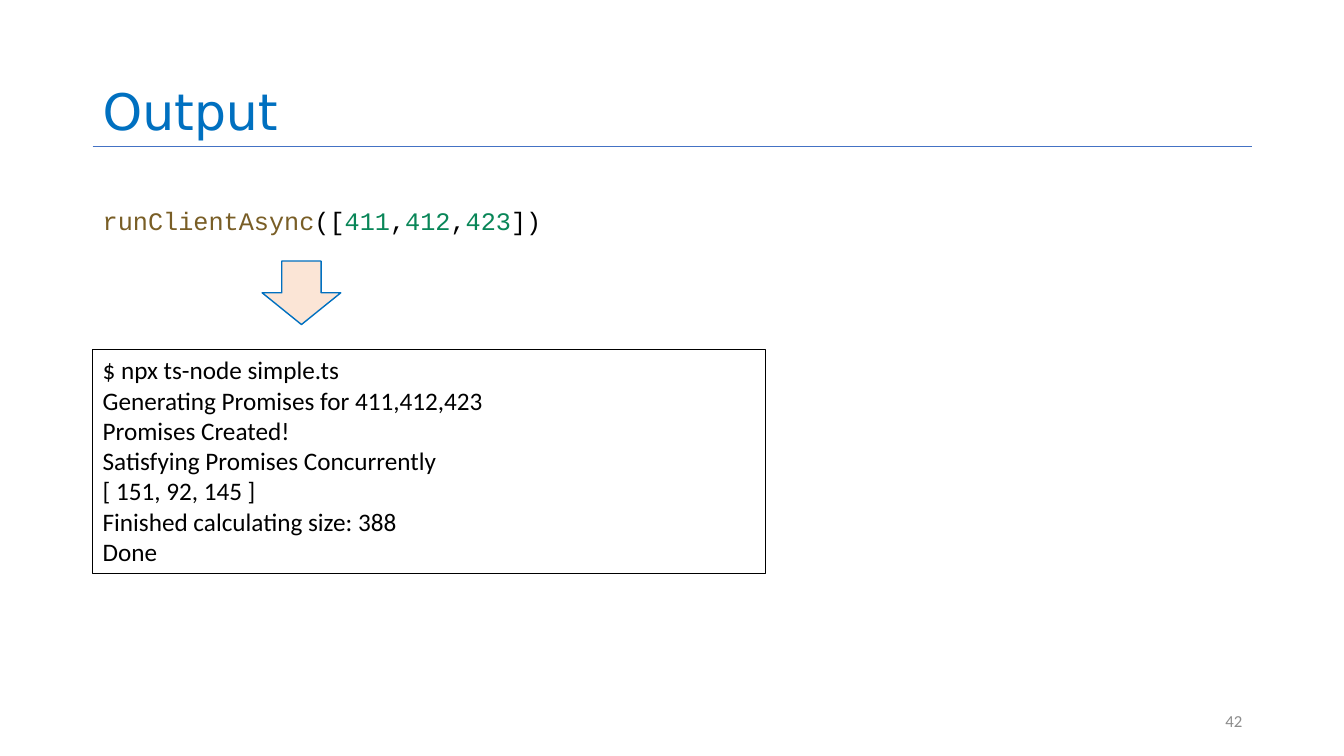
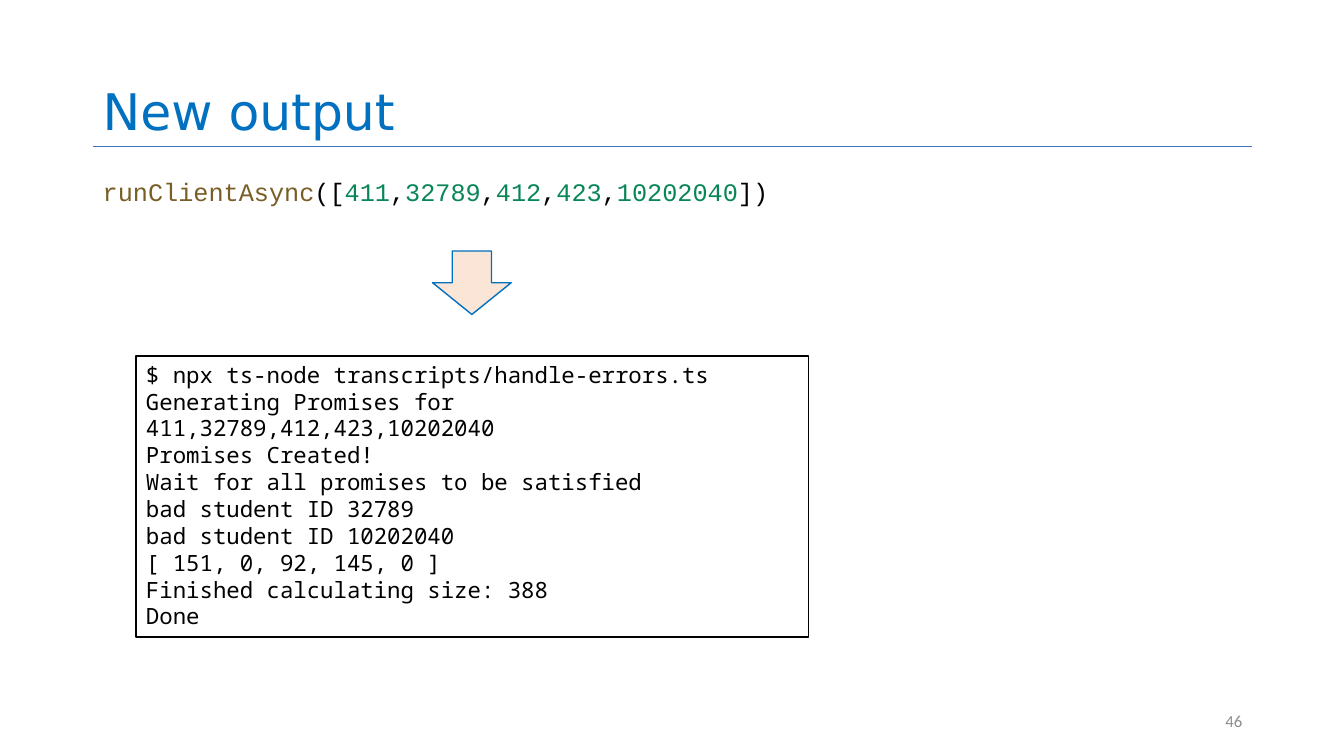
from dataclasses import dataclass

import pptx
import pptx.dml.color
import pptx.enum.shapes
import pptx.enum.text
import pptx.oxml.ns
import pptx.util
from lxml import etree

PX = pptx.util.Inches(1) // 100  # 100 px to the inch
ANCHOR = pptx.enum.text.MSO_ANCHOR
ALIGN = pptx.enum.text.PP_ALIGN
SHAPE = pptx.enum.shapes.MSO_SHAPE


@dataclass(frozen=True)
class Theme:
    title: str = "0070C0"
    rule: str = "4472C4"
    page: str = "8C8C8C"
    ink: str = "000000"
    paper: str = "FFFFFF"
    function: str = "795E26"
    number: str = "098658"
    arrow: str = "FBE5D6"
    title_font: str = "DejaVu Sans"
    body_font: str = "Calibri"
    code_font: str = "Courier New"
    terminal_font: str = "Noto Sans Mono"
    title_size: int = 36
    body_size: int = 18
    terminal_size: int = 16
    page_size: int = 12
    rule_width: float = 0.5
    outline_width: float = 1


THEME = Theme()
LEFT, CONTENT_WIDTH, TITLE_BOTTOM = 92, 1150, 145


def rgb(value):
    return pptx.dml.color.RGBColor.from_string(value)


def px(*lengths):
    return [length * PX for length in lengths]


def add_run(paragraph, text, font, size, color):
    run = paragraph.add_run()
    run.text = text
    run.font.name = font
    run.font.size = pptx.util.Pt(size)
    run.font.color.rgb = rgb(color)


def add_text_box(slide, box, anchor=ANCHOR.TOP):
    """Add an empty wrapping text box and return its first paragraph."""
    frame = slide.shapes.add_textbox(*px(*box)).text_frame
    frame.word_wrap = True
    frame.vertical_anchor = anchor
    return frame.paragraphs[0]


def add_outlined_shape(slide, preset, box, fill, outline):
    shape = slide.shapes.add_shape(preset, *px(*box))
    shape.shadow.inherit = False
    shape.fill.solid()
    shape.fill.fore_color.rgb = rgb(fill)
    shape.line.color.rgb = rgb(outline)
    shape.line.width = pptx.util.Pt(THEME.outline_width)
    return shape


def add_title_rule(slide):
    rule = slide.shapes.add_connector(
        pptx.enum.shapes.MSO_CONNECTOR.STRAIGHT,
        *px(LEFT, TITLE_BOTTOM, LEFT + CONTENT_WIDTH, TITLE_BOTTOM))
    rule.line.color.rgb = rgb(THEME.rule)
    rule.line.width = pptx.util.Pt(THEME.rule_width)
    etree.SubElement(rule._element.spPr, pptx.oxml.ns.qn("a:effectLst"))


def add_slide(deck, title, page):
    """Add a blank slide with the shared title, rule and page number."""
    slide = deck.slides.add_slide(deck.slide_layouts[6])
    add_title_rule(slide)
    heading = add_text_box(slide, (LEFT, 0, CONTENT_WIDTH, TITLE_BOTTOM), ANCHOR.BOTTOM)
    heading.line_spacing = 0.9
    add_run(heading, title, THEME.title_font, THEME.title_size, THEME.title)
    footer = add_text_box(slide, (942, 695, 300, 40), ANCHOR.MIDDLE)
    footer.alignment = ALIGN.RIGHT
    add_run(footer, str(page), THEME.body_font, THEME.page_size, THEME.page)
    return slide


def add_call(slide, top, student_ids):
    """Show the highlighted runClientAsync call for the given IDs."""
    call = add_text_box(slide, (LEFT, top, 753, 61))
    tokens = [("runClientAsync", THEME.function), ("([", THEME.ink)]
    for index, student_id in enumerate(student_ids):
        if index:
            tokens.append((",", THEME.ink))
        tokens.append((str(student_id), THEME.number))
    tokens.append(("])", THEME.ink))
    for text, color in tokens:
        add_run(call, text, THEME.code_font, THEME.body_size, color)


def add_down_arrow(slide, left, top):
    add_outlined_shape(slide, SHAPE.DOWN_ARROW, (left, top, 78, 63),
                       THEME.arrow, THEME.title)


def add_terminal(slide, left, top, height, lines, font, size):
    terminal = add_outlined_shape(slide, SHAPE.RECTANGLE, (left, top, 667, height),
                                  THEME.paper, THEME.ink)
    frame = terminal.text_frame
    frame.word_wrap = True
    frame.vertical_anchor = ANCHOR.TOP
    for index, line in enumerate(lines):
        paragraph = frame.add_paragraph() if index else frame.paragraphs[0]
        paragraph.alignment = ALIGN.LEFT
        add_run(paragraph, line, font, size, THEME.ink)


def build_output(deck):
    slide = add_slide(deck, "Output", 42)
    add_terminal(slide, LEFT, 347, 222, [
        "$ npx ts-node simple.ts",
        "Generating Promises for 411,412,423",
        "Promises Created!",
        "Satisfying Promises Concurrently",
        "[ 151, 92, 145 ]",
        "Finished calculating size: 388",
        "Done",
    ], THEME.body_font, THEME.body_size)
    add_down_arrow(slide, 260, 259)
    add_call(slide, 199, [411, 412, 423])


def build_new_output(deck):
    slide = add_slide(deck, "New output", 46)
    add_call(slide, 170, [411, 32789, 412, 423, 10202040])
    add_down_arrow(slide, 429, 249)
    add_terminal(slide, 135, 353, 279, [
        "$ npx ts-node transcripts/handle-errors.ts",
        "Generating Promises for 411,32789,412,423,10202040",
        "Promises Created!",
        "Wait for all promises to be satisfied",
        "bad student ID 32789",
        "bad student ID 10202040",
        "[ 151, 0, 92, 145, 0 ]",
        "Finished calculating size: 388",
        "Done",
    ], THEME.terminal_font, THEME.terminal_size)


def main():
    deck = pptx.Presentation()
    deck.slide_width, deck.slide_height = px(1333, 750)
    build_output(deck)
    build_new_output(deck)
    deck.save("out.pptx")


if __name__ == "__main__":
    main()
